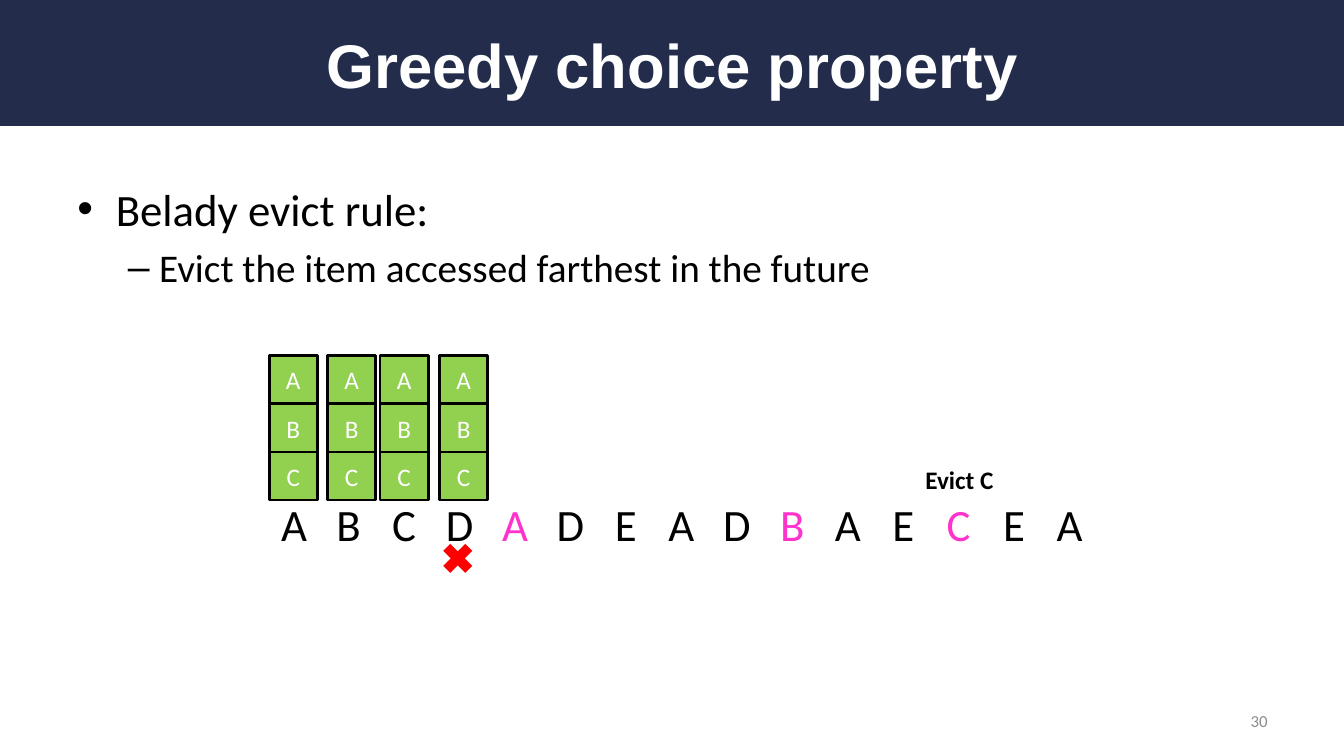
from dataclasses import dataclass

from lxml.etree import SubElement
from pptx import Presentation
from pptx.dml.color import RGBColor
from pptx.enum.shapes import MSO_SHAPE
from pptx.enum.text import MSO_ANCHOR, PP_ALIGN
from pptx.oxml.ns import qn
from pptx.util import Inches, Pt


@dataclass(frozen=True)
class Theme:
    navy: str = "232D4B"
    white: str = "FFFFFF"
    black: str = "000000"
    gray: str = "8C8C8C"
    green: str = "92D050"
    pink: str = "FF33CC"
    red: str = "FF0000"
    head_font: str = "Arial"
    body_font: str = "Calibri"
    title: int = 44
    large: int = 32
    medium: int = 28
    label: int = 18
    small: int = 12


T = Theme()

TITLE = "Greedy choice property"
# text, size, bullet, left margin, hanging indent, space before
RULES = [
    ("Belady evict rule:", T.large, "•", 0.38, 0.38, 0),
    ("Evict the item accessed farthest in the future", T.medium, "–", 0.81, 0.31, 5.6),
]
REQUESTS = "ABCDADEADBAECEA"
NEXT_USES = {4, 9, 12}  # next request of each cached item
CACHE = "ABC"
CACHE_LEFTS = [2.67, 3.25, 3.77, 4.36]
CACHE_TOP, CELL = 3.53, 0.477
FIRST_CENTER, REQUEST_PITCH = 0.12, 0.55
EVICTION = "Evict C"
PAGE = "30"

prs = Presentation()
prs.slide_width, prs.slide_height = Inches(13.33), Inches(7.5)
s = prs.slides.add_slide(prs.slide_layouts[6])


def style(r, size, color, bold=False, font=T.body_font):
    r.font.size, r.font.bold, r.font.name = Pt(size), bold, font
    r.font.color.rgb = RGBColor.from_string(color)


def add_text(box, text, size, color, align=PP_ALIGN.LEFT, anchor=MSO_ANCHOR.TOP, **kw):
    sp = s.shapes.add_textbox(*map(Inches, box))
    tf = sp.text_frame
    tf.word_wrap, tf.vertical_anchor = True, anchor
    p = tf.paragraphs[0]
    p.text, p.alignment = text, align
    for r in p.runs:
        style(r, size, color, **kw)
    return tf


def add_filled(shapes, kind, box, fill, line=None):
    sp = shapes.add_shape(kind, *map(Inches, box))
    sp.shadow.inherit = False
    sp.fill.solid()
    sp.fill.fore_color.rgb = RGBColor.from_string(fill)
    if line:
        sp.line.color.rgb = RGBColor.from_string(line)
        sp.line.width = Pt(2)
    else:
        sp.line.fill.background()
    return sp


def add_cache(left):
    """Stack one cell per cached item in a group."""
    group = s.shapes.add_group_shape()
    for row, item in enumerate(CACHE):
        box = (left, CACHE_TOP + row * CELL, CELL, CELL)
        sp = add_filled(group.shapes, MSO_SHAPE.RECTANGLE, box, T.green, T.black)
        tf = sp.text_frame
        tf.text, tf.vertical_anchor = item, MSO_ANCHOR.MIDDLE
        p = tf.paragraphs[0]
        p.alignment = PP_ALIGN.CENTER
        style(p.runs[0], T.label, T.white)


def add_rules():
    tf = add_text((0.67, 1.75, 12, 4.95), "", T.large, T.black)
    for i, (text, size, bullet, margin, hang, before) in enumerate(RULES):
        p = tf.add_paragraph() if i else tf.paragraphs[0]
        p.text, p.level, p.space_before = text, i, Pt(before)
        pPr = p._p.get_or_add_pPr()
        pPr.set("marL", str(Inches(margin)))
        pPr.set("indent", str(-Inches(hang)))
        SubElement(pPr, qn("a:buFont"), typeface=T.head_font)
        SubElement(pPr, qn("a:buChar"), char=bullet)
        style(p.runs[0], size, T.black)


def add_requests():
    """Write the request sequence on evenly spaced centred tab stops."""
    p = add_text((2.69, 4.88, 8.23, 0.64), "", T.large, T.black).paragraphs[0]
    tabs = SubElement(p._p.get_or_add_pPr(), qn("a:tabLst"))
    for i, item in enumerate(REQUESTS):
        r = p.add_run()
        r.text = "\t" + item if i else item
        style(r, T.large, T.pink if i in NEXT_USES else T.black)
        if i:
            stop = Inches(FIRST_CENTER + i * REQUEST_PITCH)
            SubElement(tabs, qn("a:tab"), pos=str(stop), algn="ctr")


add_filled(s.shapes, MSO_SHAPE.RECTANGLE, (0, 0, 13.33, 1.25), T.navy)
add_text((0.67, 0.17, 12, 0.92), TITLE, T.title, T.white, PP_ALIGN.CENTER,
         MSO_ANCHOR.MIDDLE, bold=True, font=T.head_font)
add_rules()
add_text((9.56, 6.95, 3.11, 0.4), PAGE, T.small, T.gray, PP_ALIGN.RIGHT, MSO_ANCHOR.MIDDLE)
add_requests()
for left in CACHE_LEFTS:
    add_cache(left)
add_filled(s.shapes, MSO_SHAPE.MATH_MULTIPLY, (4.33, 5.33, 0.42, 0.42), T.red)
add_text((9.08, 4.56, 1.15, 0.4), EVICTION, T.label, T.black, bold=True)

prs.save("out.pptx")
